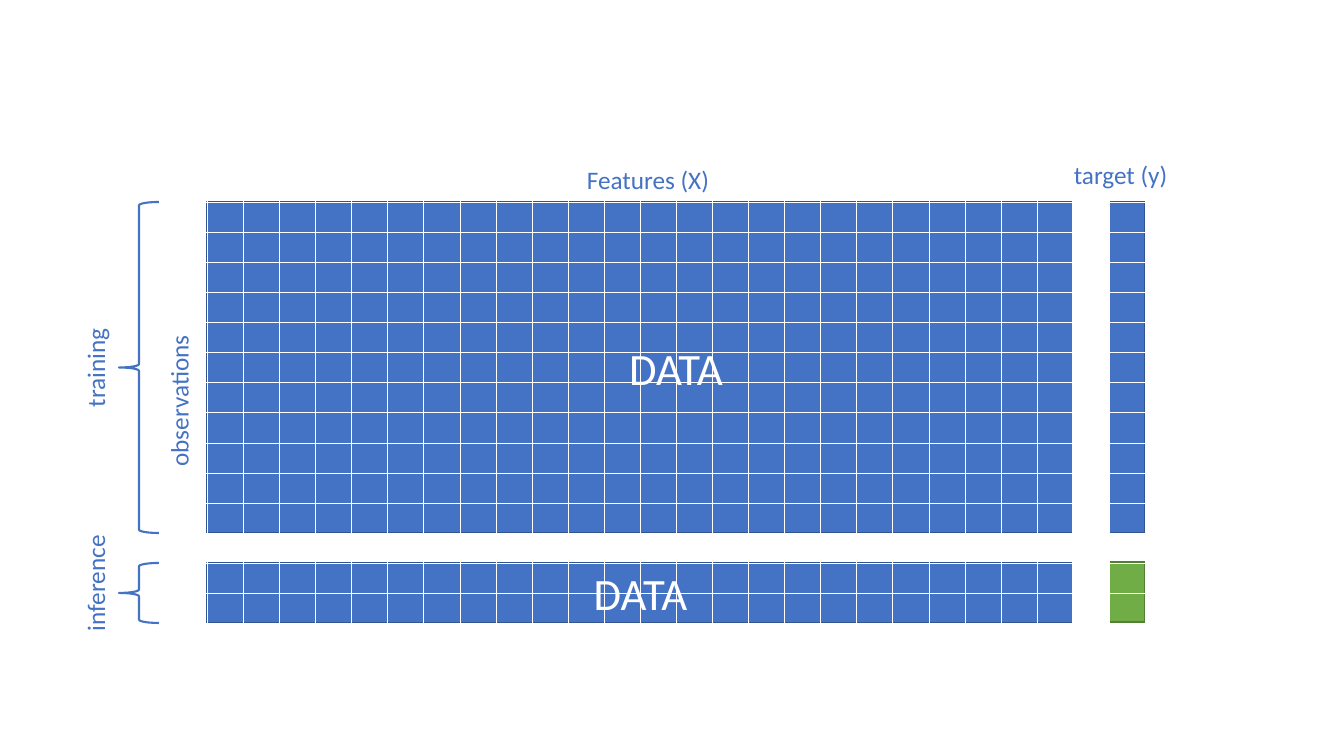
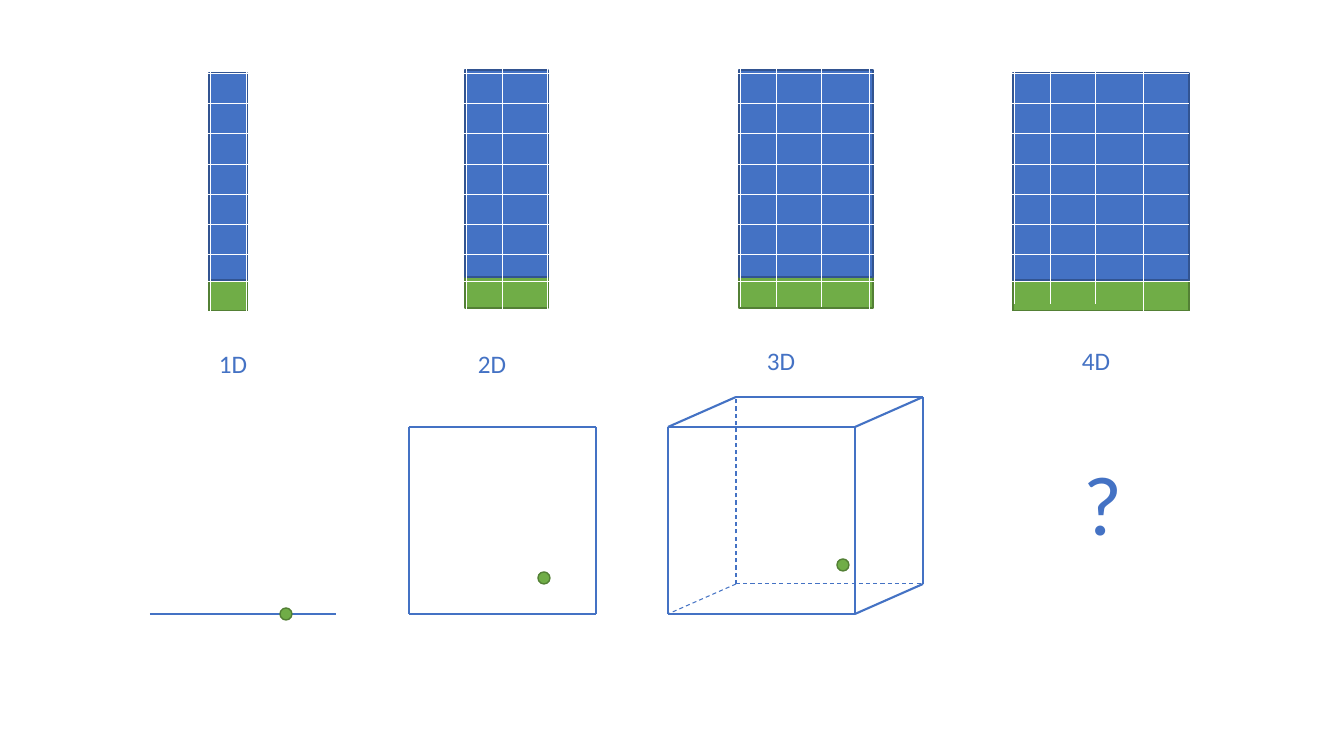
from lxml import etree
from pptx import Presentation
from pptx.dml.color import RGBColor
from pptx.enum.dml import MSO_LINE
from pptx.enum.shapes import MSO_CONNECTOR, MSO_SHAPE
from pptx.enum.text import MSO_ANCHOR, MSO_AUTO_SIZE, PP_ALIGN
from pptx.oxml.ns import qn
from pptx.util import Pt

EMU_PER_PIXEL = 914400 / 100.8
WIDTH, HEIGHT = 1344, 756
FONT = "Calibri"

BLUE = RGBColor(0x44, 0x72, 0xC4)
DARK_BLUE = RGBColor(0x32, 0x54, 0x91)
GREEN = RGBColor(0x70, 0xAD, 0x47)
DARK_GREEN = RGBColor(0x53, 0x80, 0x35)
WHITE = RGBColor(0xFF, 0xFF, 0xFF)

RECTANGLE, OVAL, LEFT_BRACE = MSO_SHAPE.RECTANGLE, MSO_SHAPE.OVAL, MSO_SHAPE.LEFT_BRACE
STRAIGHT = MSO_CONNECTOR.STRAIGHT
DASH = MSO_LINE.DASH
LEFT, CENTER = PP_ALIGN.LEFT, PP_ALIGN.CENTER
TOP, MIDDLE = MSO_ANCHOR.TOP, MSO_ANCHOR.MIDDLE
FIT_SHAPE = MSO_AUTO_SIZE.SHAPE_TO_FIT_TEXT


def emu(*pixels):
    """Turn pixel lengths into a list of EMU lengths."""
    return [round(pixel * EMU_PER_PIXEL) for pixel in pixels]


def evenly(first, last, count):
    """Return evenly spaced whole pixels from first to last."""
    return [round(first + (last - first) * i / (count - 1)) for i in range(count)]


def write_text(shape, text, size=18, color=BLUE, align=LEFT, anchor=TOP):
    """Write one formatted paragraph into a shape."""
    frame = shape.text_frame
    frame.vertical_anchor = anchor
    paragraph = frame.paragraphs[0]
    paragraph.alignment = align
    run = paragraph.add_run()
    run.text = text
    run.font.name = FONT
    run.font.size = Pt(size)
    run.font.color.rgb = color


def add_label(slide, text, left, top, width, height=40, rotation=0, size=18):
    """Add a text box that does not wrap."""
    box = slide.shapes.add_textbox(*emu(left, top, width, height))
    box.rotation = rotation
    box.text_frame.word_wrap = False
    box.text_frame.auto_size = FIT_SHAPE
    write_text(box, text, size=size)


def add_block(slide, left, top, width, height, fill=BLUE, line=DARK_BLUE,
              kind=RECTANGLE, weight=1):
    """Add an outlined shape, hollow when fill is None."""
    shape = slide.shapes.add_shape(kind, *emu(left, top, width, height))
    shape.shadow.inherit = False
    if fill is None:
        shape.fill.background()
    else:
        shape.fill.solid()
        shape.fill.fore_color.rgb = fill
    shape.line.color.rgb = line
    shape.line.width = Pt(weight)
    return shape


def add_line(slide, start, end, color=BLUE, weight=1.5, dash=None):
    """Add a straight line between two points."""
    connector = slide.shapes.add_connector(STRAIGHT, *emu(*start, *end))
    connector.line.color.rgb = color
    connector.line.width = Pt(weight)
    if dash is not None:
        connector.line.dash_style = dash
    etree.SubElement(connector._element.spPr, qn("a:effectLst"))


def add_columns(slide, positions, top, bottom):
    """Add thin white vertical grid lines."""
    for x in positions:
        add_line(slide, (x, top), (x, bottom), WHITE, 0.5)


def add_rows(slide, positions, left, right):
    """Add thin white horizontal grid lines."""
    for y in positions:
        add_line(slide, (left, y), (right, y), WHITE, 0.5)


def add_path(slide, points, **style):
    """Join consecutive points with lines."""
    for start, end in zip(points, points[1:]):
        add_line(slide, start, end, **style)


def add_dot(slide, x, y):
    """Add a green data point centred on x, y."""
    add_block(slide, x - 6, y - 6, 12, 12, GREEN, DARK_GREEN, OVAL)


def add_square(slide, left, top, side):
    """Draw a square from four lines."""
    right, bottom = left + side, top + side
    add_path(slide, [(left, top), (right, top), (right, bottom), (left, bottom), (left, top)])


def add_cube(slide, left, top, side, shift, rise):
    """Draw a cube with its hidden edges dashed."""
    right, bottom = left + side, top + side
    back_left, back_right = left + shift, right + shift
    back_top, back_bottom = top - rise, bottom - rise
    add_square(slide, left, top, side)
    add_path(slide, [(left, top), (back_left, back_top), (back_right, back_top),
                     (back_right, back_bottom), (right, bottom)])
    add_line(slide, (back_right, back_top), (right, top))
    hidden_corner = (back_left, back_bottom)
    for corner in ((back_left, back_top), (left, bottom), (back_right, back_bottom)):
        add_line(slide, hidden_corner, corner, weight=0.75, dash=DASH)


def build_data_slide(slide):
    """Show training and inference data as feature and target grids."""
    inference = add_block(slide, 207, 563, 867, 60)
    add_block(slide, 1109, 562, 36, 60, GREEN, DARK_GREEN)
    training = add_block(slide, 207, 202, 938, 331)
    for block in (inference, training):
        write_text(block, "DATA", size=32, color=WHITE, align=CENTER, anchor=MIDDLE)

    add_columns(slide, evenly(207, 1145, 27), 117, 691)
    add_rows(slide, evenly(202, 623, 15), 175, 1209)
    add_block(slide, 1073, 190, 36, 456, WHITE, WHITE)

    add_label(slide, "Features (X)", 577, 159, 144)
    add_label(slide, "target (y)", 1064, 154, 117)
    add_label(slide, "observations", 102, 380, 153, rotation=270)
    add_label(slide, "training", 45, 347, 100, rotation=270)
    add_label(slide, "inference", 36, 562, 118, rotation=270)
    for top, height in ((202, 331), (563, 60)):
        add_block(slide, 119, top, 40, height, None, BLUE, LEFT_BRACE, 1.5)


def build_dimensions_slide(slide):
    """Compare one to four features with their geometric spaces."""
    tables = [  # left, top, width, top of column lines, label left, label top
        (209, 73, 38, 41, 209, 343),
        (465, 70, 83, 41, 468, 343),
        (739, 70, 134, 33, 757, 340),
        (1013, 73, 176, 30, 1072, 340),
    ]
    column_offsets = (1, 37, 82, 130)
    line_length, last_drop = 274, 17
    for dimension, table in enumerate(tables, start=1):
        left, top, width, line_top, label_left, label_top = table
        add_block(slide, left, top + 207, width, 31, GREEN, DARK_GREEN)
        add_block(slide, left, top, width, 207)
        for index, offset in enumerate(column_offsets[:dimension + 1]):
            start = line_top + (last_drop if index == 3 else 0)
            add_columns(slide, [left + offset], start, start + line_length)
        add_label(slide, f"{dimension}D", label_left, label_top, 49)
    add_rows(slide, evenly(73, 254, 7), 156, 1189)
    add_rows(slide, (281, 311), 169, 1203)

    add_line(slide, (150, 614), (336, 614))
    add_square(slide, 409, 427, 187)
    add_cube(slide, 668, 427, 187, shift=68, rise=30)
    for x, y in ((286, 614), (544, 578), (843, 565)):
        add_dot(slide, x, y)
    add_label(slide, "?", 1074, 447, 59, 112, size=60)


def main():
    """Build and save the presentation."""
    presentation = Presentation()
    presentation.slide_width, presentation.slide_height = emu(WIDTH, HEIGHT)
    blank = presentation.slide_layouts[6]
    for build in (build_data_slide, build_dimensions_slide):
        build(presentation.slides.add_slide(blank))
    presentation.save("out.pptx")


main()
